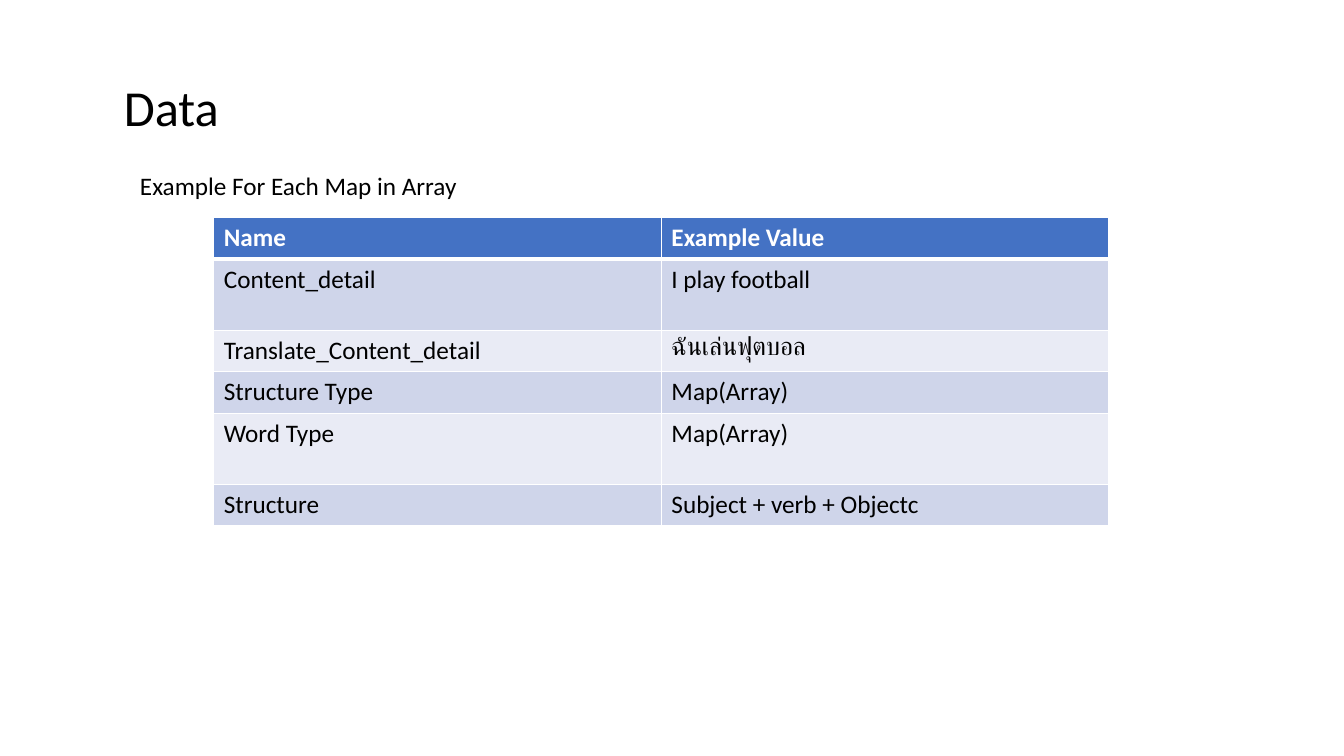
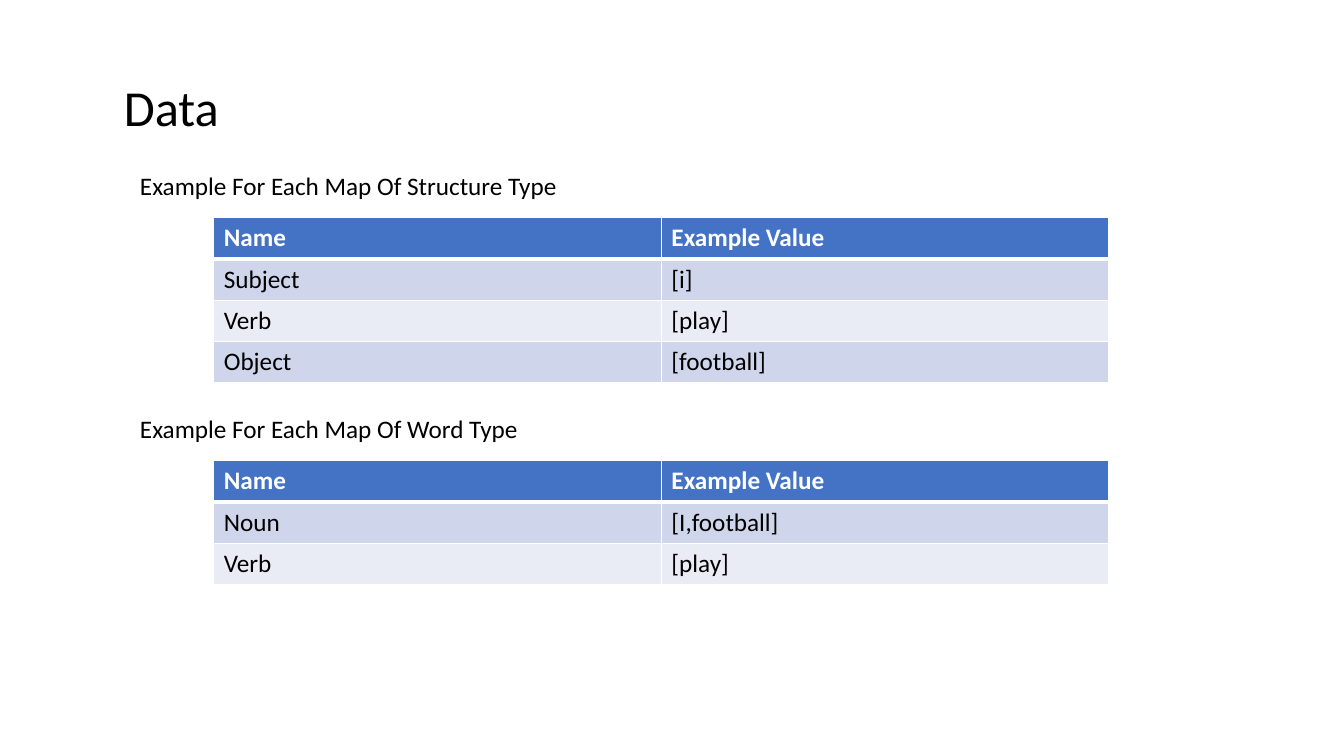
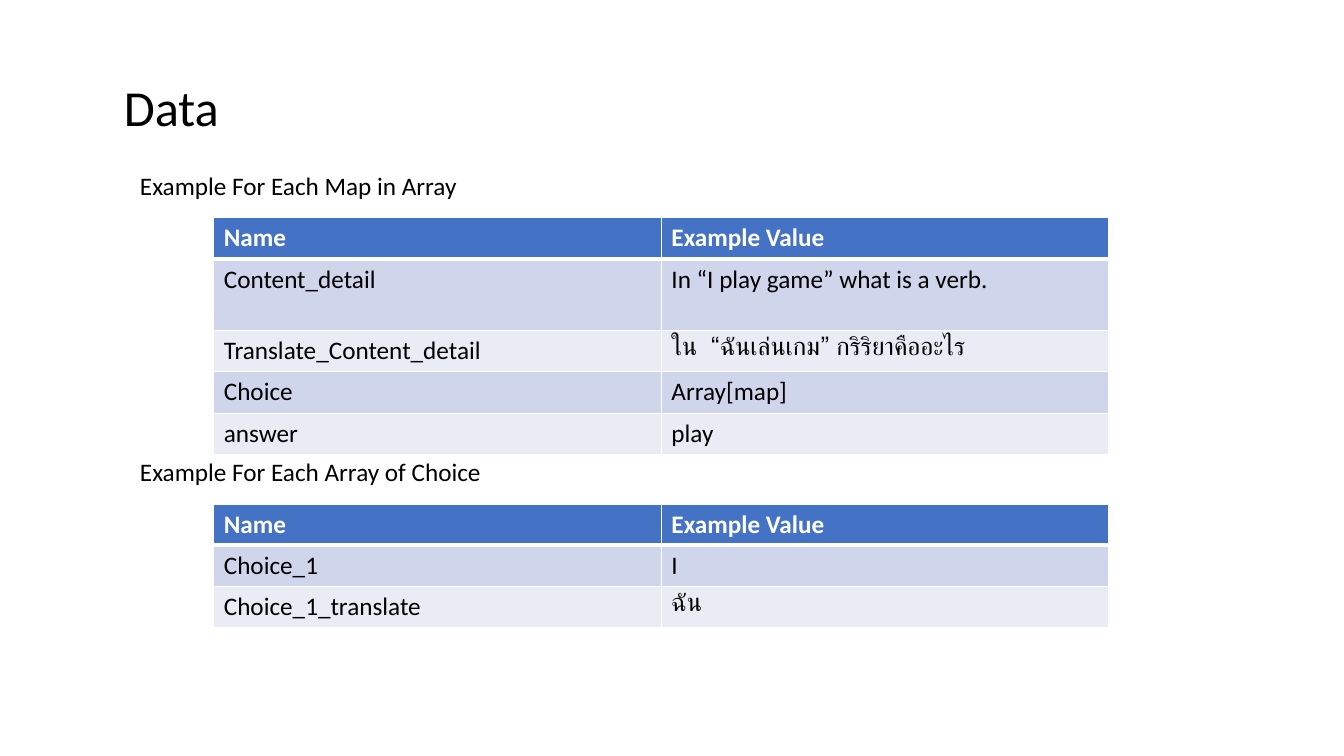
from pptx import Presentation
from pptx.dml.color import RGBColor
from pptx.enum import text
from pptx.oxml import parse_xml
from pptx.oxml.ns import nsdecls
from pptx.util import Inches, Pt

FONT = "Calibri"
BLACK, WHITE = "000000", "FFFFFF"
HEADER_FILL = "4472C4"
BAND_FILLS = ["CFD5EA", "E9EBF5"]
HEADINGS = ("Name", "Example Value")
COLUMN_WIDTH = 4.44
ROW_HEIGHT, TALL_ROW_HEIGHT = 0.41, 0.71
FIRST_TABLE_TOP = 2.16
CAPTION_RISE = 0.52


def color(value):
    return RGBColor.from_string(value)


def style(paragraph, size, ink, bold=False):
    font = paragraph.font
    font.name, font.size, font.bold = FONT, Pt(size), bold
    font.color.rgb = color(ink)


def add_label(slide, words, left, top, width, height, size):
    label = slide.shapes.add_textbox(
        Inches(left), Inches(top), Inches(width), Inches(height))
    frame = label.text_frame
    frame.word_wrap = True
    frame.auto_size = text.MSO_AUTO_SIZE.SHAPE_TO_FIT_TEXT
    frame.text = words
    style(frame.paragraphs[0], size, BLACK)


def add_borders(cell, top, bottom):
    properties = cell._tc.get_or_add_tcPr()
    for side, width in (("L", 1), ("R", 1), ("T", top), ("B", bottom)):
        properties.append(parse_xml(
            f'<a:ln{side} {nsdecls("a")} w="{Pt(width)}"><a:solidFill>'
            f'<a:srgbClr val="{WHITE}"/></a:solidFill></a:ln{side}>'))


def fill_cell(cell, words, row):
    header = row == 0
    add_borders(cell, 3 if row == 1 else 1, 3 if header else 1)
    cell.fill.solid()
    cell.fill.fore_color.rgb = color(
        HEADER_FILL if header else BAND_FILLS[(row - 1) % 2])
    cell.text = words
    style(cell.text_frame.paragraphs[0], 18, WHITE if header else BLACK, header)


def add_example(slide, caption, top, fields, tall_rows=()):
    add_label(slide, caption, 1.29, top - CAPTION_RISE, 8.04, 0.4, 18)
    rows = [HEADINGS, *fields]
    heights = [TALL_ROW_HEIGHT if row in tall_rows else ROW_HEIGHT
               for row in range(len(rows))]
    table = slide.shapes.add_table(
        len(rows), len(HEADINGS), Inches(2.12), Inches(top),
        Inches(COLUMN_WIDTH * len(HEADINGS)), Inches(sum(heights))).table
    for column in table.columns:
        column.width = Inches(COLUMN_WIDTH)
    for row, (height, values) in enumerate(zip(heights, rows)):
        table.rows[row].height = Inches(height)
        for column, words in enumerate(values):
            fill_cell(table.cell(row, column), words, row)


def add_data_slide(deck):
    slide = deck.slides.add_slide(deck.slide_layouts[6])
    add_label(slide, "Data", 1.13, 0.71, 5.44, 0.71, 36)
    return slide


def main():
    deck = Presentation()
    deck.slide_width, deck.slide_height = Inches(13.33), Inches(7.5)

    sentence = add_data_slide(deck)
    add_example(sentence, "Example For Each Map in Array", FIRST_TABLE_TOP, [
        ("Content_detail", "I play football"),
        ("Translate_Content_detail", "ฉันเล่นฟุตบอล"),
        ("Structure Type", "Map(Array)"),
        ("Word Type", "Map(Array)"),
        ("Structure", "Subject + verb + Objectc"),
    ], tall_rows=(1, 4))

    word_maps = add_data_slide(deck)
    add_example(word_maps, "Example For Each Map Of Structure Type", FIRST_TABLE_TOP, [
        ("Subject", "[i]"),
        ("Verb", "[play]"),
        ("Object", "[football]"),
    ])
    add_example(word_maps, "Example For Each Map Of Word Type", 4.57, [
        ("Noun", "[I,football]"),
        ("Verb", "[play]"),
    ])

    question = add_data_slide(deck)
    add_example(question, "Example For Each Map in Array", FIRST_TABLE_TOP, [
        ("Content_detail", "In “I play game” what is a verb."),
        ("Translate_Content_detail", "ใน  “ฉันเล่นเกม” กริริยาคืออะไร"),
        ("Choice", "Array[map]"),
        ("answer", "play"),
    ], tall_rows=(1,))
    add_example(question, "Example For Each Array of Choice", 5, [
        ("Choice_1", "I"),
        ("Choice_1_translate", "ฉัน"),
    ])

    deck.save("out.pptx")


main()
